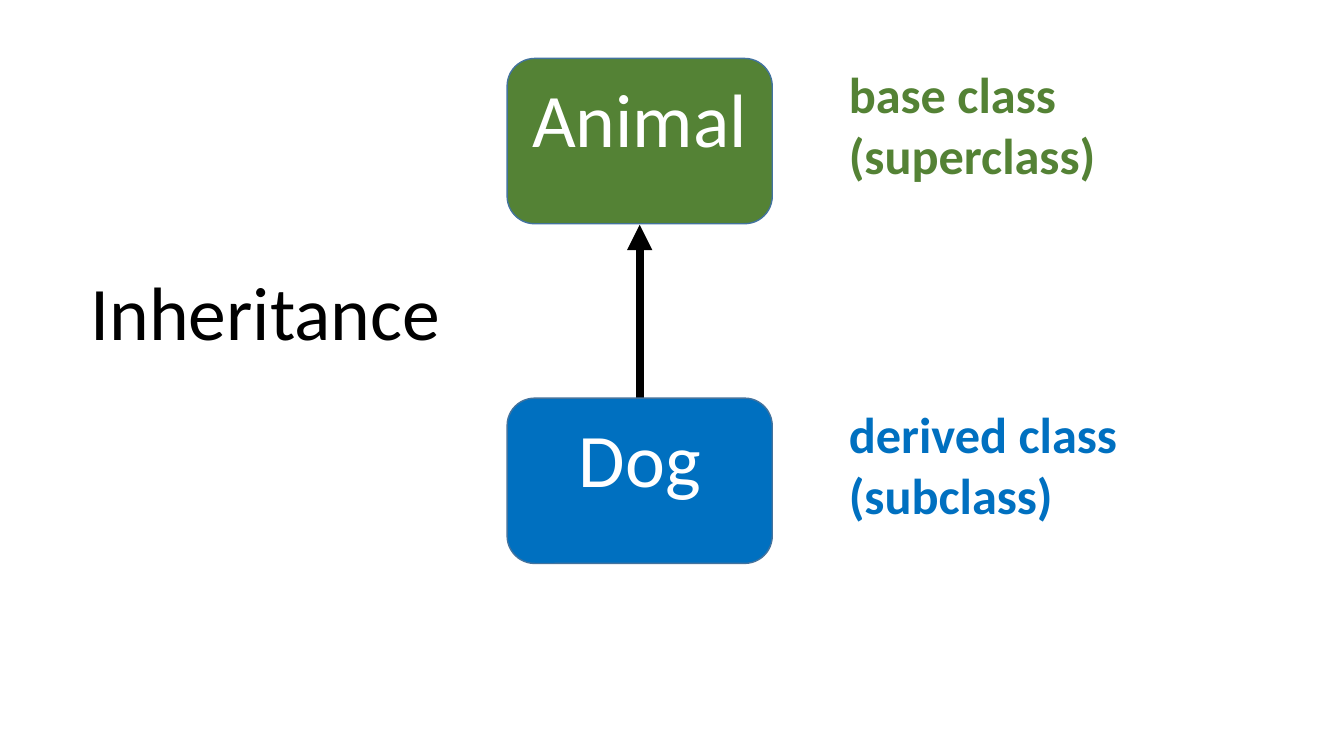
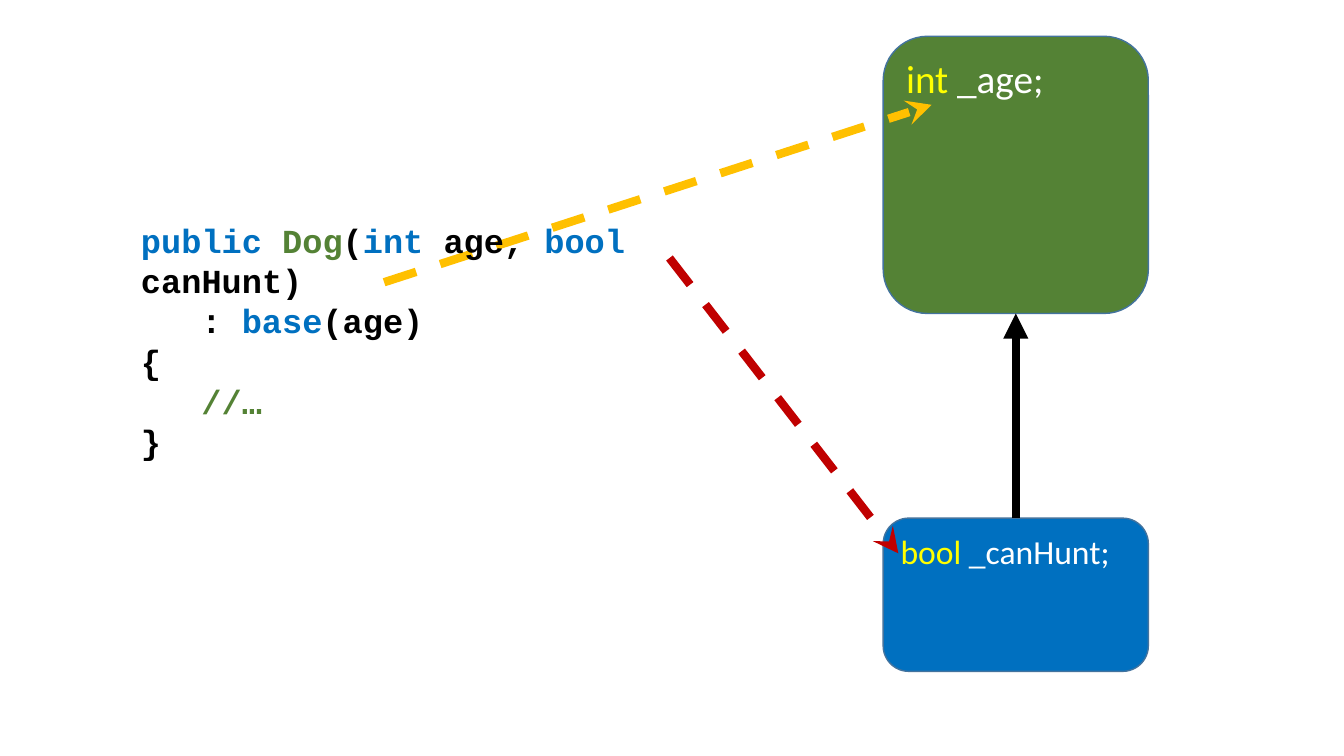
from dataclasses import dataclass

from lxml.etree import SubElement
from pptx import Presentation
from pptx.dml.color import RGBColor
from pptx.enum.dml import MSO_LINE as Dash
from pptx.enum.shapes import MSO_CONNECTOR as Link, MSO_SHAPE as Form
from pptx.enum.text import MSO_ANCHOR as Anchor, PP_ALIGN as Align
from pptx.oxml.ns import qn
from pptx.slide import Slide
from pptx.text.text import TextFrame
from pptx.util import Inches, Pt

# Shared look
GREEN = RGBColor(0x54, 0x82, 0x35)
BLUE = RGBColor(0x00, 0x70, 0xC0)
EDGE = RGBColor(0x43, 0x73, 0x9E)
BLACK = RGBColor(0x00, 0x00, 0x00)
WHITE = RGBColor(0xFF, 0xFF, 0xFF)
YELLOW = RGBColor(0xFF, 0xFF, 0x00)
AMBER = RGBColor(0xFF, 0xC0, 0x00)
RED = RGBColor(0xC0, 0x00, 0x00)
SANS, MONO = "Calibri", "Courier New"
BOX_W = 2.63


@dataclass
class Span:
    text: str
    color: RGBColor = BLACK


@dataclass
class Row:
    spans: list[Span]
    indent: float = 0


@dataclass
class Box:
    left: float
    top: float
    height: float
    fill: RGBColor
    spans: list[Span]
    size: int
    title: bool = False


@dataclass
class Label:
    left: float
    top: float
    width: float
    height: float
    rows: list[Row]
    size: int
    font: str = SANS
    bold: bool = False
    wrap: bool = False


@dataclass
class Arrow:
    start: tuple[float, float]
    end: tuple[float, float]
    color: RGBColor = BLACK
    head: str = "triangle"
    dashed: bool = False


def write(frame: TextFrame, rows: list[Row], size: int, font: str, bold: bool) -> None:
    for i, row in enumerate(rows):
        para = frame.add_paragraph() if i else frame.paragraphs[0]
        para.alignment = Align.LEFT
        if row.indent:
            para._p.get_or_add_pPr().set("marL", str(Inches(row.indent)))
        for span in row.spans:
            run = para.add_run()
            run.text = span.text
            run.font.name, run.font.size = font, Pt(size)
            run.font.bold = bold
            run.font.color.rgb = span.color


def draw_box(slide: Slide, box: Box) -> None:
    shape = slide.shapes.add_shape(
        Form.ROUNDED_RECTANGLE, Inches(box.left), Inches(box.top),
        Inches(BOX_W), Inches(box.height))
    shape.shadow.inherit = False
    shape.fill.solid()
    shape.fill.fore_color.rgb = box.fill
    shape.line.color.rgb = EDGE
    shape.line.width = Pt(1)
    frame = shape.text_frame
    frame.word_wrap = True
    frame.vertical_anchor = Anchor.TOP
    write(frame, [Row(box.spans)], box.size, SANS, False)
    if box.title:
        # A deep lower margin lifts the class name above the middle
        frame.vertical_anchor = Anchor.MIDDLE
        frame.margin_bottom = Inches(0.52)
        frame.paragraphs[0].alignment = Align.CENTER


def draw_label(slide: Slide, label: Label) -> None:
    shape = slide.shapes.add_textbox(
        Inches(label.left), Inches(label.top),
        Inches(label.width), Inches(label.height))
    shape.text_frame.word_wrap = label.wrap
    write(shape.text_frame, label.rows, label.size, label.font, label.bold)


def draw_arrow(slide: Slide, arrow: Arrow) -> None:
    ends = [Inches(n) for n in arrow.start + arrow.end]
    link = slide.shapes.add_connector(Link.STRAIGHT, *ends)
    link.line.color.rgb = arrow.color
    link.line.width = Pt(6)
    if arrow.dashed:
        link.line.dash_style = Dash.DASH
    SubElement(link.line._get_or_add_ln(), qn("a:tailEnd"), type=arrow.head)
    SubElement(link._element.spPr, qn("a:effectLst"))


DRAW = {Box: draw_box, Label: draw_label, Arrow: draw_arrow}


def tag(top: float, width: float, color: RGBColor, *lines: str) -> Label:
    rows = [Row([Span(line, color)]) for line in lines]
    return Label(8.32, top, width, 1.31, rows, 36, bold=True)


# Slide 1: the two classes and their roles
MID = 5.03 + BOX_W / 2
CLASSES = [
    Arrow((MID, 3.97), (MID, 2.23)),
    Box(5.03, 0.58, 1.64, GREEN, [Span("Animal", WHITE)], 54, title=True),
    Box(5.03, 3.95, 1.64, BLUE, [Span("Dog", WHITE)], 54, title=True),
    Label(0.8, 2.58, 3.71, 1.01, [Row([Span("Inheritance")])], 54),
    tag(0.58, 2.68, GREEN, "base class", "(superclass)"),
    tag(3.95, 2.89, BLUE, "derived class", "(subclass)"),
]

# Slide 2: the constructor and the fields it sets
CODE = [
    Row([Span("public ", BLUE), Span("Dog", GREEN), Span("("),
         Span("int", BLUE), Span(" age, "), Span("bool", BLUE),
         Span(" canHunt)")]),
    Row([Span(": "), Span("base", BLUE), Span("(age)")], indent=0.6),
    Row([Span("{")]),
    Row([Span("//…", GREEN)], indent=0.6),
    Row([Span("}")]),
]
AXIS = 8.76 + BOX_W / 2
FIELDS = [
    Box(8.76, 5.14, 1.52, BLUE,
        [Span("bool", YELLOW), Span(" _canHunt;", WHITE)], 24),
    Box(8.76, 0.36, 2.75, GREEN,
        [Span("int", YELLOW), Span(" _age;", WHITE)], 28),
    Arrow((AXIS, 5.14), (AXIS, 3.11)),
    Arrow((3.81, 2.8), (9.24, 1.04), AMBER, "stealth", dashed=True),
    Label(1.3, 2.13, 6.59, 2.12, CODE, 24, MONO, bold=True, wrap=True),
    Arrow((6.64, 2.56), (8.91, 5.49), RED, "stealth", dashed=True),
]


def main() -> None:
    deck = Presentation()
    deck.slide_width, deck.slide_height = Inches(13.33), Inches(7.5)
    for parts in (CLASSES, FIELDS):
        slide = deck.slides.add_slide(deck.slide_layouts[6])
        for part in parts:
            DRAW[type(part)](slide, part)
    deck.save("out.pptx")


if __name__ == "__main__":
    main()
